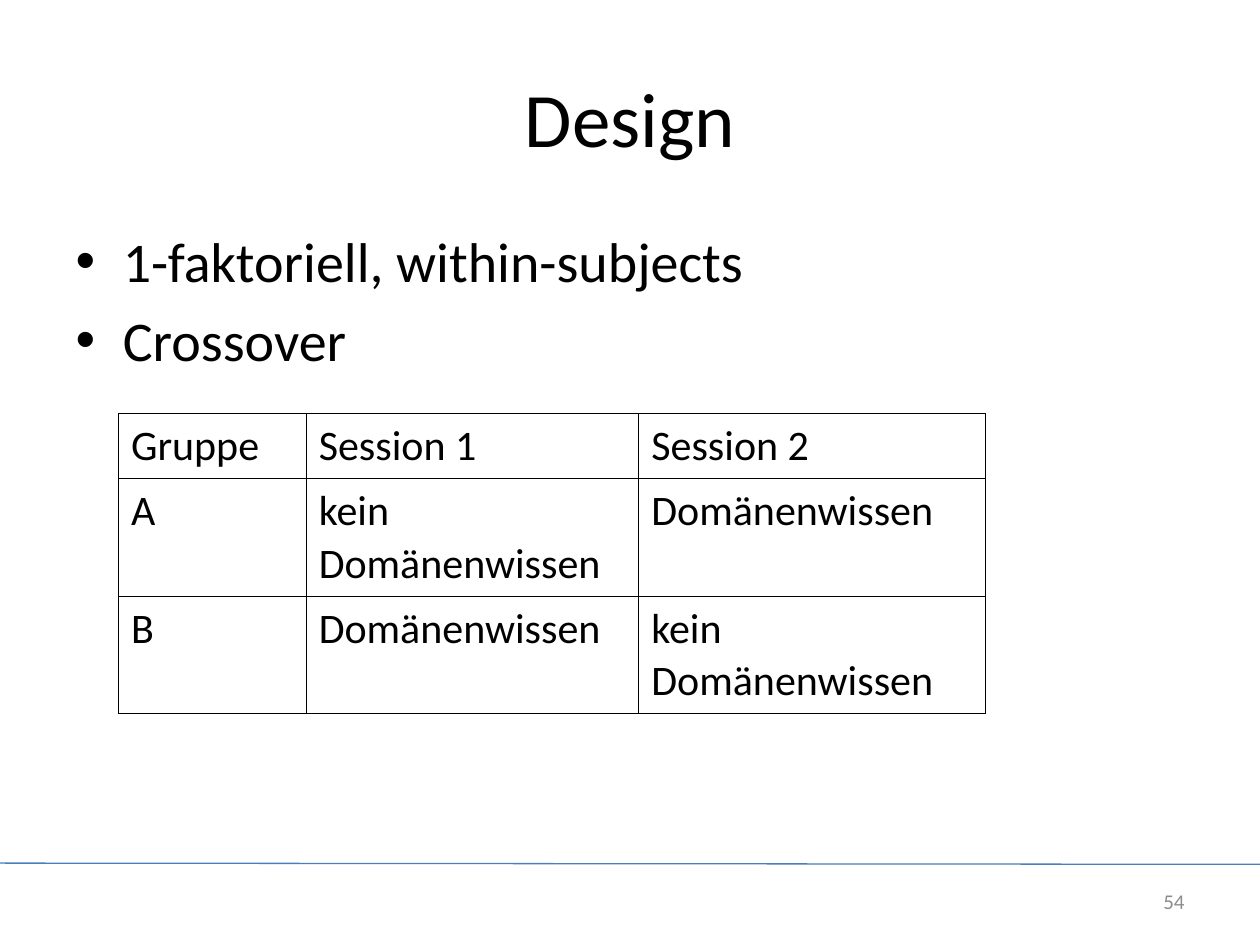
from lxml import etree
from pptx import Presentation
from pptx.dml.color import RGBColor
from pptx.enum.shapes import MSO_CONNECTOR
from pptx.enum.text import MSO_ANCHOR, PP_ALIGN
from pptx.oxml.ns import qn
from pptx.util import Inches, Pt

STRAIGHT = MSO_CONNECTOR.STRAIGHT
MIDDLE, TOP = MSO_ANCHOR.MIDDLE, MSO_ANCHOR.TOP
LEFT, CENTER, RIGHT = PP_ALIGN.LEFT, PP_ALIGN.CENTER, PP_ALIGN.RIGHT

FONT = "Calibri"
COLORS = {"text": "000000", "rule": "4B7EBC", "number": "8C8C8C", "border": "000000"}

BULLETS = ["1-faktoriell, within-subjects", "Crossover"]
COL_WIDTHS = [1.49, 2.64, 2.75]
ROW_HEIGHTS = [0.52, 0.93, 0.93]
GROUPS = [
    ["Gruppe", "Session 1", "Session 2"],
    ["A", "kein Domänenwissen", "Domänenwissen"],
    ["B", "Domänenwissen", "kein Domänenwissen"],
]


def rgb(name):
    return RGBColor.from_string(COLORS[name])


def place(sp, left, top, width, height):
    sp.left, sp.top = Inches(left), Inches(top)
    sp.width, sp.height = Inches(width), Inches(height)


def format_paragraph(p, size, align, color="text"):
    p.alignment = align
    p.font.name = FONT
    p.font.size = Pt(size)
    p.font.color.rgb = rgb(color)


def add_title(s, text):
    sp = s.shapes.title
    place(sp, 0.5, 0.3, 9, 1.25)
    tf = sp.text_frame
    tf.text = text
    tf.vertical_anchor = MIDDLE
    format_paragraph(tf.paragraphs[0], 44, CENTER)


def add_bullets(s, items):
    sp = s.placeholders[1]
    place(sp, 0.5, 1.75, 9, 4.95)
    tf = sp.text_frame
    tf.text = "\n".join(items)
    for p in tf.paragraphs:
        format_paragraph(p, 32, LEFT)
    tf.paragraphs[0].space_before = Pt(0)


def add_footer_rule(s):
    line = s.shapes.add_connector(STRAIGHT, 0, Inches(6.85), Inches(10), Inches(6.86))
    line.line.color.rgb = rgb("rule")
    line.line.width = Pt(0.75)
    etree.SubElement(line._element.spPr, qn("a:effectLst"))


def add_slide_number(s, text):
    sp = s.shapes.add_textbox(Inches(8.59), Inches(6.95), Inches(0.91), Inches(0.4))
    tf = sp.text_frame
    tf.word_wrap = True
    tf.vertical_anchor = MIDDLE
    tf.text = text
    format_paragraph(tf.paragraphs[0], 12, RIGHT, "number")


def set_borders(cell, width):
    """Draw all four cell edges; the lines must come before the fill."""
    tcPr = cell._tc.get_or_add_tcPr()
    for i, edge in enumerate(("a:lnL", "a:lnR", "a:lnT", "a:lnB")):
        ln = etree.Element(qn(edge), w=str(Pt(width)))
        fill = etree.SubElement(ln, qn("a:solidFill"))
        etree.SubElement(fill, qn("a:srgbClr"), val=COLORS["border"])
        tcPr.insert(i, ln)


def add_group_table(s, rows):
    frame = s.shapes.add_table(
        len(rows), len(COL_WIDTHS), Inches(0.94), Inches(3.28),
        Inches(sum(COL_WIDTHS)), Inches(sum(ROW_HEIGHTS)))
    table = frame.table
    table.first_row = table.horz_banding = False
    for column, width in zip(table.columns, COL_WIDTHS):
        column.width = Inches(width)
    for row, height, texts in zip(table.rows, ROW_HEIGHTS, rows):
        row.height = Inches(height)
        for cell, text in zip(row.cells, texts):
            cell.text = text
            cell.vertical_anchor = TOP
            cell.fill.background()
            set_borders(cell, 0.45)
            p = cell.text_frame.paragraphs[0]
            p.line_spacing = 1.02
            format_paragraph(p, 24, LEFT)


def main():
    prs = Presentation()
    prs.slide_width, prs.slide_height = Inches(10), Inches(7.5)
    s = prs.slides.add_slide(prs.slide_layouts[1])
    add_footer_rule(s)
    add_title(s, "Design")
    add_bullets(s, BULLETS)
    add_slide_number(s, "54")
    add_group_table(s, GROUPS)
    prs.save("out.pptx")


if __name__ == "__main__":
    main()
